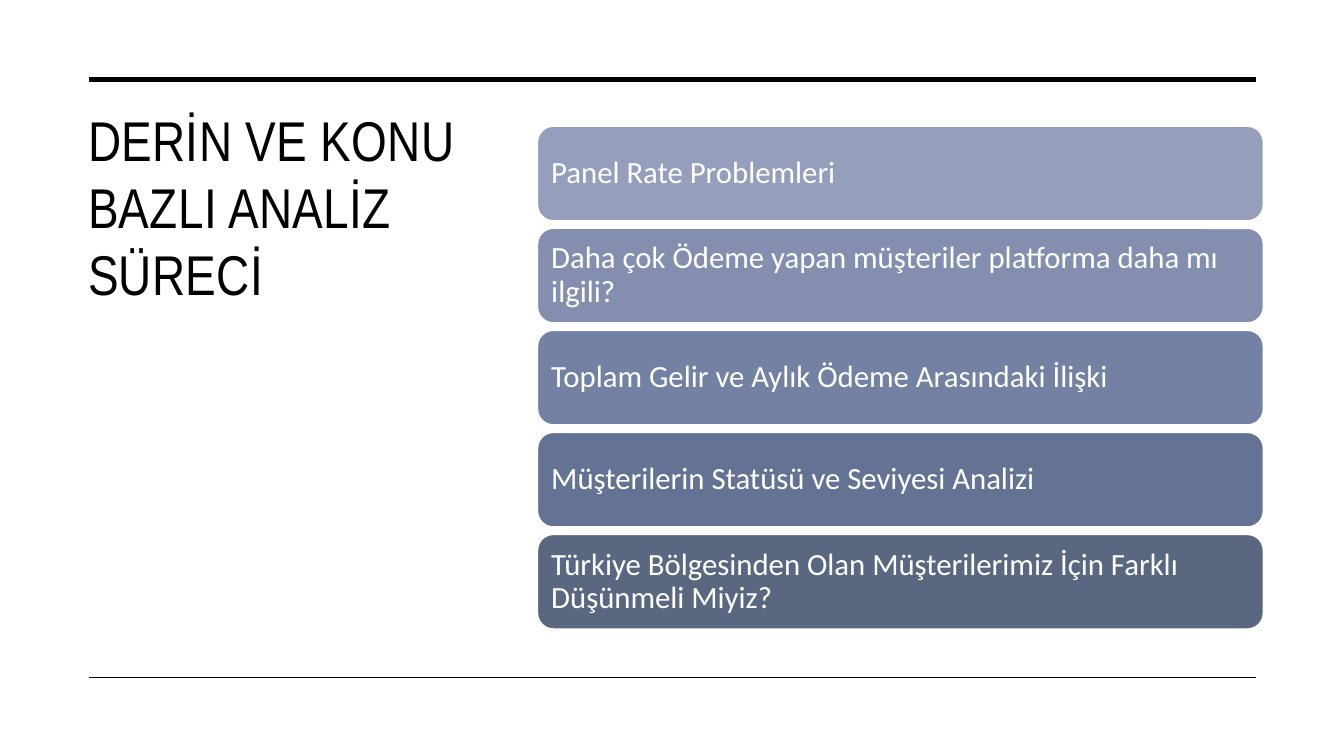
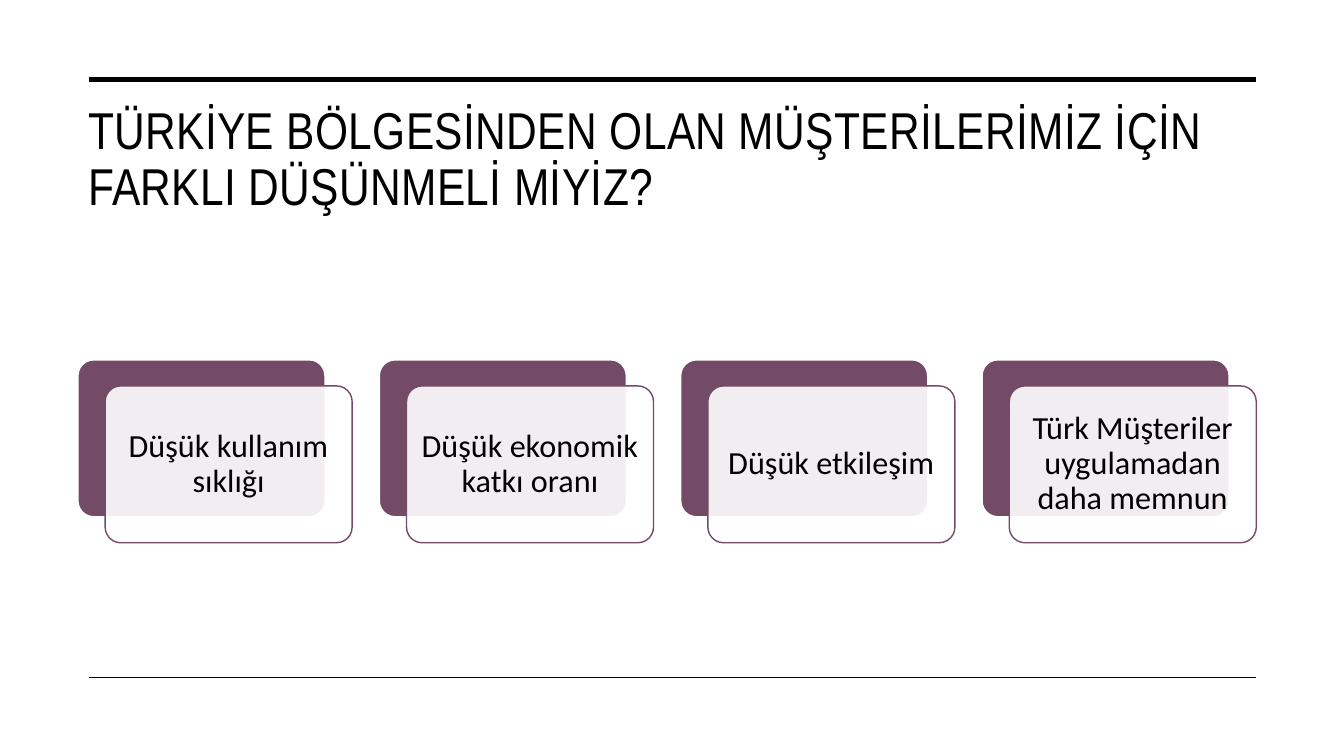
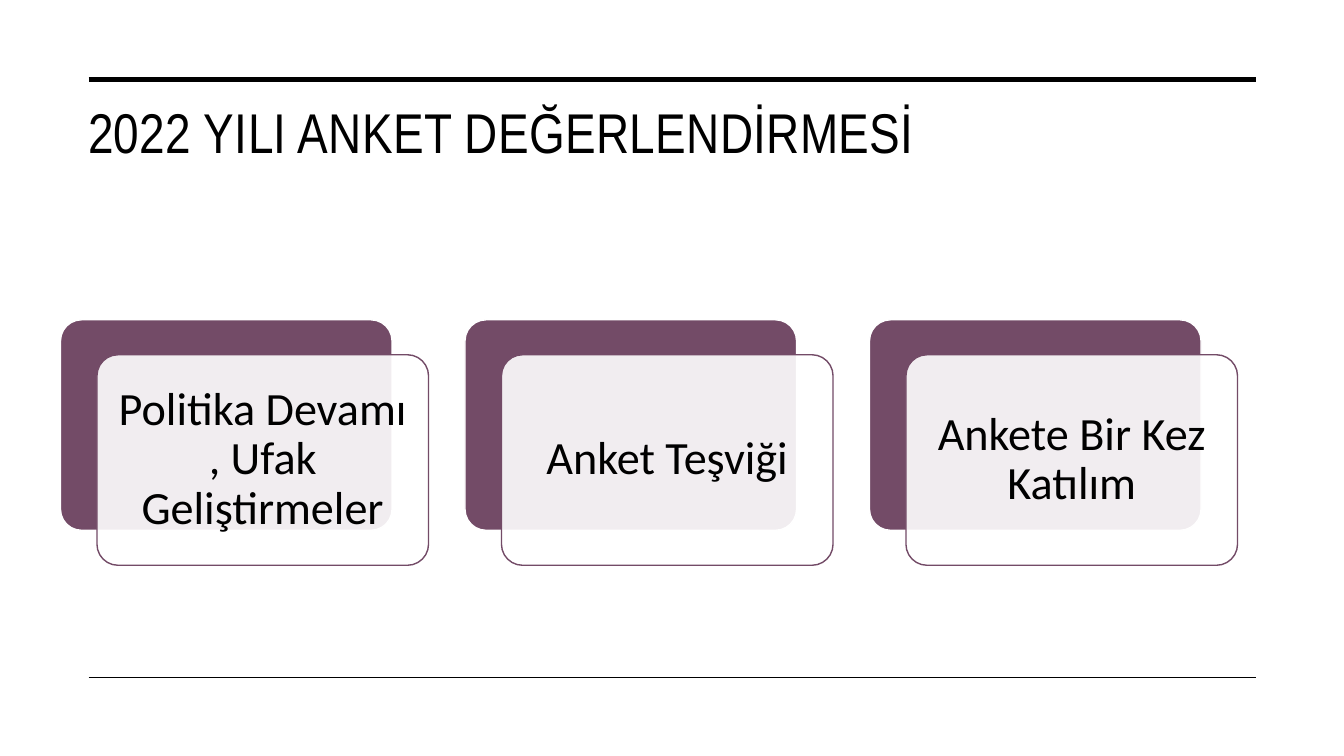
"""Build three slides on customer analysis with ruled titles, bars and layered cards."""
from lxml.etree import SubElement
from pptx import Presentation
from pptx.dml.color import RGBColor
from pptx.enum.shapes import MSO_CONNECTOR as Connector, MSO_SHAPE as Preset
from pptx.enum.text import MSO_ANCHOR as Anchor, MSO_AUTO_SIZE as AutoSize, PP_ALIGN as Align
from pptx.oxml.ns import qn
from pptx.util import Inches, Pt

COLOURS = {
    "black": "000000",
    "white": "FFFFFF",
    "plum": "734B67",
    "bars": ["959EBB", "848FAF", "7381A2", "647394", "596781"],
}
TITLE_FONT, BODY_FONT = "Arial Narrow", "Calibri"
WIDTH, HEIGHT = Inches(13.333), Inches(7.5)
TITLE_ONLY = 5
RULE_LEFT, RULE_RIGHT = 6.6, 93.45
RULES = [(10.5, 3.5), (89.6, 1)]
WIDE_TITLE = (5.8, 13.2, 87.7, 16.8)
SIDE_TITLE = (5.8, 13.3, 30, 64.3)

ANALYSES = [
    "Panel Rate Problemleri",
    "Daha çok Ödeme yapan müşteriler platforma daha mı ilgili?",
    "Toplam Gelir ve Aylık Ödeme Arasındaki İlişki",
    "Müşterilerin Statüsü ve Seviyesi Analizi",
    "Türkiye Bölgesinden Olan Müşterilerimiz İçin Farklı Düşünmeli Miyiz?",
]
FINDINGS = [
    "Düşük kullanım sıklığı",
    "Düşük ekonomik katkı oranı",
    "Düşük etkileşim",
    "Türk Müşteriler uygulamadan daha memnun",
]
SURVEY_STEPS = [
    "Politika Devamı , Ufak Geliştirmeler",
    "Anket Teşviği",
    "Ankete Bir Kez Katılım",
]


def across(percent):
    """Return a share of the slide's width."""
    return round(WIDTH * percent / 100)


def down(percent):
    """Return a share of the slide's height."""
    return round(HEIGHT * percent / 100)


def colour(hex_string):
    """Return a colour object for a hex string."""
    return RGBColor.from_string(hex_string)


def write(shape, text, font_name, size, text_colour, align=Align.LEFT, spacing=0.9):
    """Write one styled paragraph into a shape and return its run."""
    shape.text_frame.word_wrap = True
    paragraph = shape.text_frame.paragraphs[0]
    paragraph.alignment, paragraph.line_spacing = align, spacing
    run = paragraph.add_run()
    run.text = text
    run.font.name, run.font.size = font_name, Pt(size)
    run.font.color.rgb = colour(text_colour)
    return run


def add_rule(slide, top, weight):
    """Draw a horizontal rule across the content width."""
    rule = slide.shapes.add_connector(
        Connector.STRAIGHT, across(RULE_LEFT), down(top), across(RULE_RIGHT), down(top))
    rule.line.color.rgb = colour(COLOURS["black"])
    rule.line.width = Pt(weight)
    SubElement(rule._element.spPr, qn("a:effectLst"))


def add_titled_slide(presentation, text, box, size=40, spacing=0.9):
    """Add a slide with the shared rules and title style."""
    slide = presentation.slides.add_slide(presentation.slide_layouts[TITLE_ONLY])
    for top, weight in RULES:
        add_rule(slide, top, weight)
    title = slide.shapes.title
    left, top, width, height = box
    title.left, title.top = across(left), down(top)
    title.width, title.height = across(width), down(height)
    title.text_frame.vertical_anchor = Anchor.TOP
    title.text_frame.auto_size = AutoSize.NONE
    run = write(title, text, TITLE_FONT, size, COLOURS["black"], spacing=spacing)
    run._r.get_or_add_rPr().set("spc", "30")
    return slide


def add_panel(slide, left, top, width, height, fill, line):
    """Add a rounded rectangle with a solid fill and a thin line."""
    panel = slide.shapes.add_shape(Preset.ROUNDED_RECTANGLE, left, top, width, height)
    panel.shadow.inherit = False
    panel.fill.solid()
    panel.fill.fore_color.rgb = colour(fill)
    panel.line.color.rgb = colour(line)
    panel.line.width = Pt(1)
    return panel


def set_insets(shape, inset):
    """Centre the text vertically and give it the same inset on all sides."""
    frame = shape.text_frame
    frame.vertical_anchor = Anchor.MIDDLE
    frame.margin_left = frame.margin_right = inset
    frame.margin_top = frame.margin_bottom = inset


def add_bars(slide, texts, left=40, top=16.7, width=54, height=12.5, pitch=13.5):
    """Stack one labelled bar per text in deepening shades."""
    for row, (text, fill) in enumerate(zip(texts, COLOURS["bars"])):
        bar = add_panel(slide, across(left), down(top + row * pitch),
                        across(width), down(height), fill, COLOURS["white"])
        set_insets(bar, Inches(0.09))
        write(bar, text, BODY_FONT, 22, COLOURS["white"])


def add_cards(slide, texts, left, top, width, size):
    """Lay out a row of layered cards whose proportions follow their width."""
    card_width = across(width)
    card_height = round(card_width * 0.635)
    for column, text in enumerate(texts):
        x, y = across(left + column * width * 1.22), down(top)
        back = add_panel(slide, x, y, card_width, card_height,
                         COLOURS["plum"], COLOURS["white"])
        front = add_panel(slide, x + round(card_width * 0.11), y + round(card_height * 0.166),
                          card_width, card_height, COLOURS["white"], COLOURS["plum"])
        back.adjustments[0] = front.adjustments[0] = 0.1
        fill_colour = front._element.spPr.find(qn("a:solidFill"))[0]
        SubElement(fill_colour, qn("a:alpha"), val="90000")
        set_insets(front, round(card_width * 0.04))
        write(front, text, BODY_FONT, size, COLOURS["black"], Align.CENTER)


def main():
    """Build and save the presentation."""
    presentation = Presentation()
    presentation.slide_width, presentation.slide_height = WIDTH, HEIGHT

    slide = add_titled_slide(presentation, "DERİN VE KONU BAZLI ANALİZ SÜRECİ",
                             SIDE_TITLE, spacing=1.0)
    add_bars(slide, ANALYSES)

    slide = add_titled_slide(
        presentation, "TÜRKİYE BÖLGESİNDEN OLAN MÜŞTERİLERİMİZ İÇİN FARKLI DÜŞÜNMELİ MİYİZ?",
        WIDE_TITLE, size=37)
    add_cards(slide, FINDINGS, left=5.8, top=47.6, width=18.38, size=23)

    slide = add_titled_slide(presentation, "2022 YILI ANKET DEĞERLENDİRMESİ", WIDE_TITLE)
    add_cards(slide, SURVEY_STEPS, left=4.5, top=42.3, width=24.67, size=33)

    presentation.save("out.pptx")


if __name__ == "__main__":
    main()
